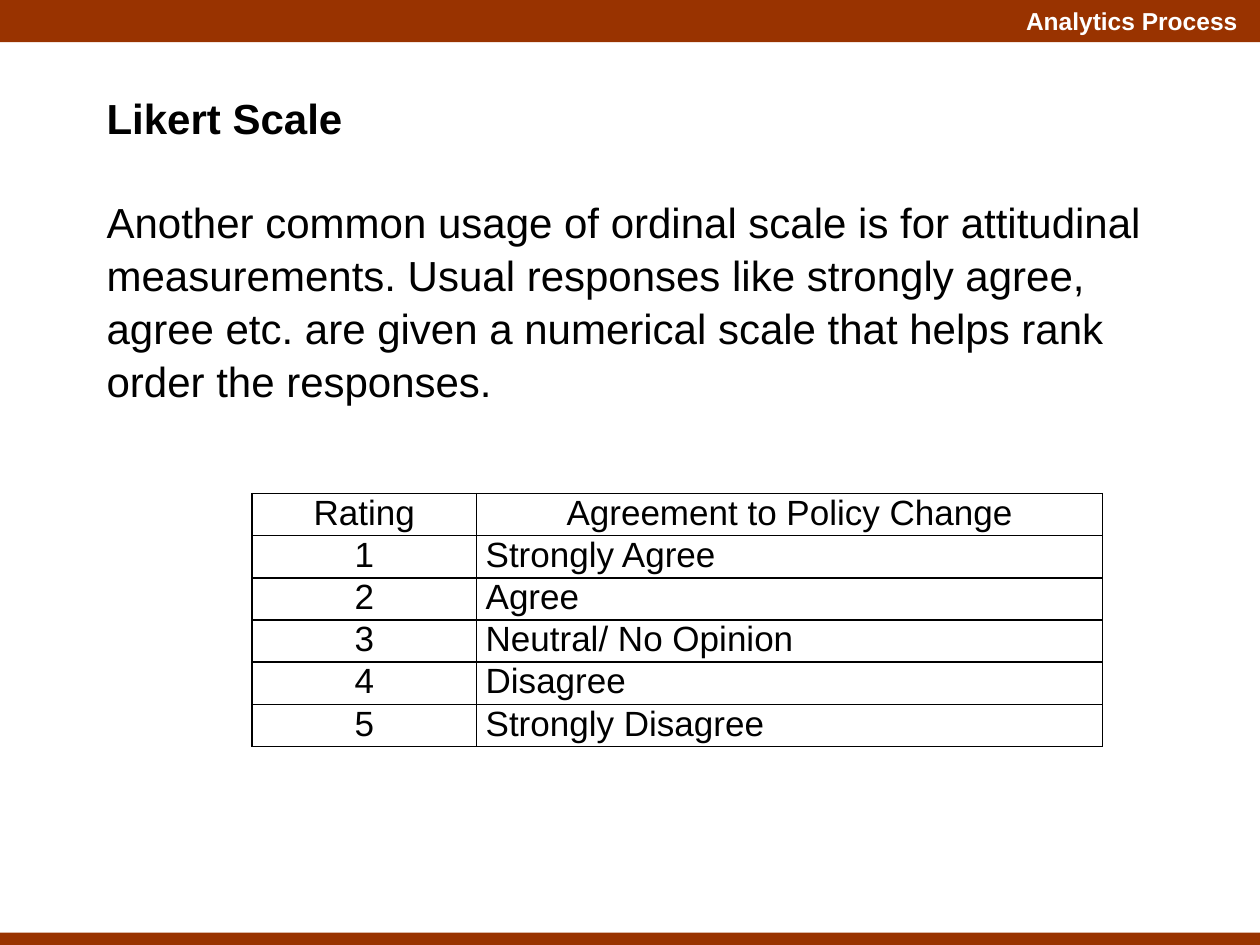
import lxml.etree
import pptx
import pptx.dml.color
import pptx.enum.shapes
import pptx.enum.text
import pptx.oxml.ns
import pptx.util
from pptx.util import Cm

ALIGN = pptx.enum.text.PP_ALIGN


def color(hex_string):
    return pptx.dml.color.RGBColor.from_string(hex_string)


def write(para, text, size=24, bold=False, fill="000000", align=ALIGN.LEFT):
    para.alignment = align
    span = para.add_run()
    span.text = text
    span.font.name = "Arial"
    span.font.size = pptx.util.Pt(size)
    span.font.bold = bold
    span.font.color.rgb = color(fill)


deck = pptx.Presentation()
deck.slide_width, deck.slide_height = Cm(25.4), Cm(19.05)
page = deck.slides.add_slide(deck.slide_layouts[6])

# Bands along the top and bottom edges
for top, height in ((0, 0.85), (18.8, 0.25)):
    band = page.shapes.add_shape(
        pptx.enum.shapes.MSO_SHAPE.RECTANGLE, 0, Cm(top), deck.slide_width, Cm(height))
    band.shadow.inherit = False
    band.fill.solid()
    band.fill.fore_color.rgb = color("993300")
    band.line.fill.background()

header = page.shapes.add_textbox(Cm(14.58), 0, Cm(10.62), Cm(0.85))
header.text_frame.word_wrap = True
write(header.text_frame.paragraphs[0], "Analytics Process",
      size=14, bold=True, fill="FFFFFF", align=ALIGN.RIGHT)

# Heading and explanation
body = page.shapes.add_textbox(Cm(1.9), Cm(1.7), Cm(22.23), Cm(6.4))
body.text_frame.word_wrap = True
heading = body.text_frame.paragraphs[0]
write(heading, "Likert Scale", bold=True)
heading.space_after = pptx.util.Pt(29)
explanation = body.text_frame.add_paragraph()
write(explanation,
      "Another common usage of ordinal scale is for attitudinal measurements. "
      "Usual responses like strongly agree, agree etc. are given a numerical scale "
      "that helps rank order the responses.")
for para in (heading, explanation):
    para.line_spacing = 1.05

# Rating table
responses = ["Strongly Agree", "Agree", "Neutral/ No Opinion", "Disagree", "Strongly Disagree"]
rows = [("Rating", "Agreement to Policy Change")]
rows += [(str(rating), response) for rating, response in enumerate(responses, start=1)]
column_widths = (4.53, 12.62)
row_height = 0.85

table = page.shapes.add_table(
    len(rows), len(column_widths), Cm(5.08), Cm(9.95),
    Cm(sum(column_widths)), Cm(row_height * len(rows))).table
table.first_row = table.horz_banding = False
for column, width in zip(table.columns, column_widths):
    column.width = Cm(width)

for row_index, texts in enumerate(rows):
    table.rows[row_index].height = Cm(row_height)
    for column_index, text in enumerate(texts):
        cell = table.cell(row_index, column_index)
        cell.margin_left = cell.margin_right = Cm(0.18)
        cell.margin_top = cell.margin_bottom = 0
        centred = row_index == 0 or column_index == 0
        write(cell.text_frame.paragraphs[0], text, size=20,
              align=ALIGN.CENTER if centred else ALIGN.LEFT)
        properties = cell._tc.get_or_add_tcPr()
        for side in ("lnL", "lnR", "lnT", "lnB"):
            border = lxml.etree.SubElement(
                properties, pptx.oxml.ns.qn(f"a:{side}"), w=str(pptx.util.Pt(1)))
            solid = lxml.etree.SubElement(border, pptx.oxml.ns.qn("a:solidFill"))
            lxml.etree.SubElement(solid, pptx.oxml.ns.qn("a:srgbClr"), val="000000")
        cell.fill.background()

deck.save("out.pptx")
